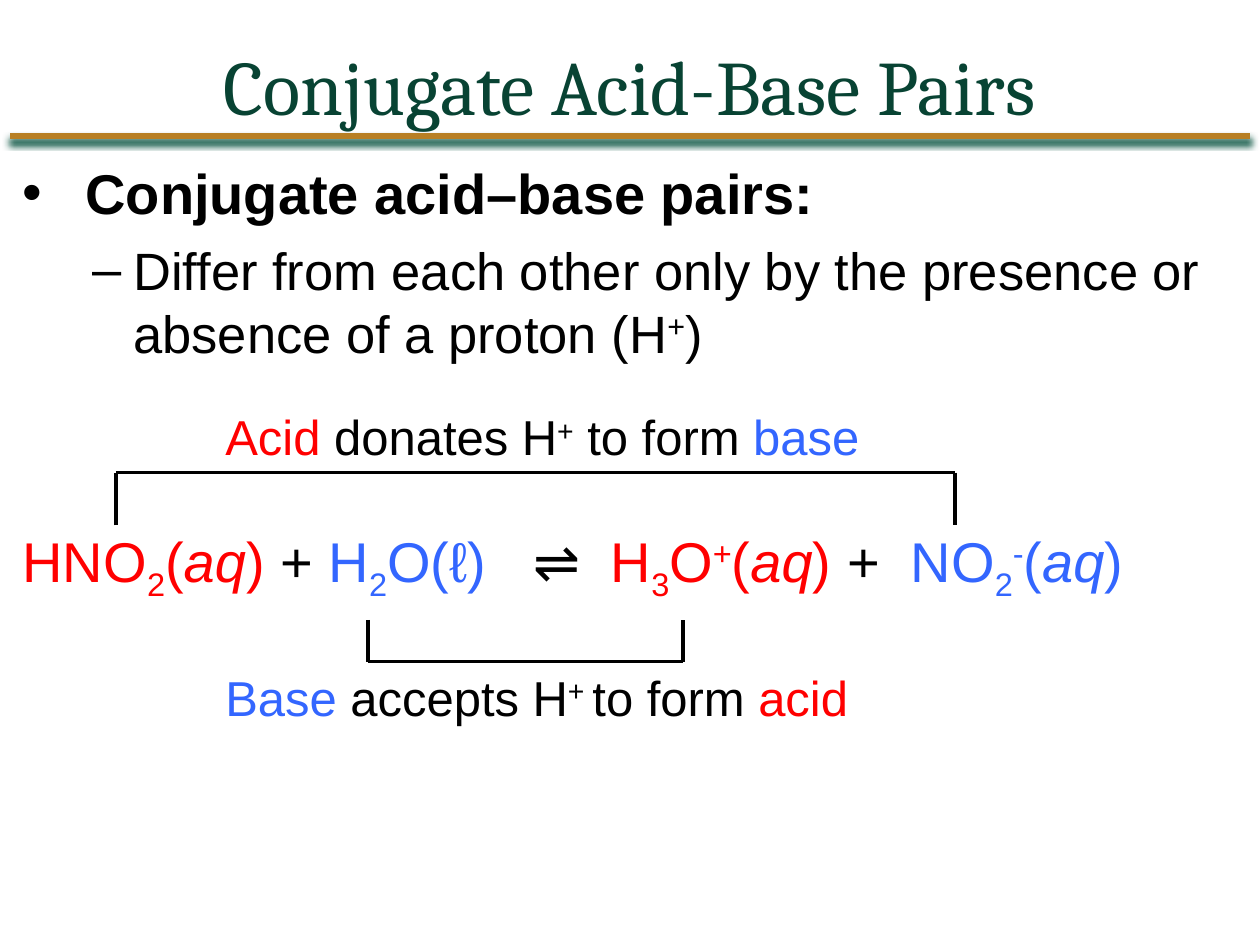
from dataclasses import dataclass
from typing import NamedTuple, Optional

from lxml.etree import SubElement
from pptx import Presentation
from pptx.dml.color import RGBColor
from pptx.enum.shapes import MSO_CONNECTOR as Connector
from pptx.enum.text import MSO_ANCHOR as Anchor, PP_ALIGN as Align
from pptx.oxml.ns import qn
from pptx.util import Inches, Pt


@dataclass(frozen=True)
class Theme:
    title: str = "084333"
    rule: str = "B87F24"
    rule_shadow: str = "0A5441"
    text: str = "000000"
    acid: str = "FF0000"
    base: str = "3366FF"
    title_font: str = "Cambria"
    body_font: str = "Arial"
    title_size: int = 44
    body_size: int = 32
    detail_size: int = 30
    caption_size: int = 28


THEME = Theme()
SUPER, SUB = 30, -25


class Piece(NamedTuple):
    text: str
    color: str = THEME.text
    baseline: int = 0
    italic: bool = False
    bold: bool = False


class Bullet(NamedTuple):
    mark: str
    margin: float
    hanging: float


@dataclass(frozen=True)
class Line:
    pieces: list[Piece]
    size: int
    bullet: Optional[Bullet] = None
    tabs: tuple[float, ...] = ()
    space_before: int = 0


@dataclass(frozen=True)
class Block:
    left: float
    top: float
    width: float
    height: float
    lines: list[Line]
    wrap: bool = True


@dataclass(frozen=True)
class Bracket:
    left: float
    right: float
    bar: float
    tip: float


def formula(color: str, *parts: tuple[str, int], state: str = "") -> list[Piece]:
    pieces = [Piece(text, color, baseline) for text, baseline in parts]
    if state:
        pieces += [Piece("(", color), Piece(state, color, italic=True), Piece(")", color)]
    return pieces


def apply(target, values: dict) -> None:
    for name, value in values.items():
        setattr(target, name, value)


def format_font(font, name: str, size: int, color: str, bold=False, italic=False) -> None:
    apply(font, {"name": name, "size": Pt(size), "bold": bold, "italic": italic})
    font.color.rgb = RGBColor.from_string(color)


def set_layout(paragraph, line: Line) -> None:
    properties = paragraph._p.get_or_add_pPr()
    paragraph.space_before = Pt(line.space_before)
    if line.bullet:
        properties.set("marL", str(Inches(line.bullet.margin)))
        properties.set("indent", str(-Inches(line.bullet.hanging)))
        SubElement(properties, qn("a:buFont"), typeface=THEME.body_font)
        SubElement(properties, qn("a:buChar"), char=line.bullet.mark)
    if line.tabs:
        tab_list = SubElement(properties, qn("a:tabLst"))
        for position in line.tabs:
            SubElement(tab_list, qn("a:tab"), pos=str(Inches(position)), algn="l")


def draw_block(slide, block: Block) -> None:
    shape = slide.shapes.add_textbox(
        *map(Inches, (block.left, block.top, block.width, block.height)))
    frame = shape.text_frame
    frame.word_wrap = block.wrap
    for index, line in enumerate(block.lines):
        paragraph = frame.add_paragraph() if index else frame.paragraphs[0]
        set_layout(paragraph, line)
        for piece in line.pieces:
            run = paragraph.add_run()
            run.text = piece.text
            format_font(run.font, THEME.body_font, line.size, piece.color, piece.bold, piece.italic)
            if piece.baseline:
                run._r.get_or_add_rPr().set("baseline", str(piece.baseline * 1000))


def draw_line(slide, start: tuple[float, float], end: tuple[float, float],
              color: str = THEME.text, width: float = 2.25):
    connector = slide.shapes.add_connector(Connector.STRAIGHT, *map(Inches, (*start, *end)))
    connector.line.color.rgb = RGBColor.from_string(color)
    connector.line.width = Pt(width)
    return SubElement(connector._element.spPr, qn("a:effectLst"))


def draw_bracket(slide, bracket: Bracket) -> None:
    corners = [(bracket.left, bracket.tip), (bracket.left, bracket.bar),
               (bracket.right, bracket.bar), (bracket.right, bracket.tip)]
    for start, end in zip(corners, corners[1:]):
        draw_line(slide, start, end)


def draw_title(slide, text: str) -> None:
    title = slide.shapes.title
    apply(title, {"left": 0, "top": Inches(0.17), "width": Inches(10), "height": Inches(1)})
    title.text_frame.text = text
    title.text_frame.vertical_anchor = Anchor.MIDDLE
    paragraph = title.text_frame.paragraphs[0]
    paragraph.alignment = Align.CENTER
    format_font(paragraph.runs[0].font, THEME.title_font, THEME.title_size, THEME.title)
    effects = draw_line(slide, (0.08, 1.08), (9.92, 1.08), THEME.rule, 3)
    shadow = SubElement(effects, qn("a:outerShdw"), blurRad=str(Pt(4)), dist=str(Pt(3)),
                        dir=str(105 * 60000), algn="tl", rotWithShape="0")
    SubElement(shadow, qn("a:srgbClr"), val=THEME.rule_shadow)


DEFINITION = [
    Line([Piece("Conjugate acid–base pairs:", bold=True)], THEME.body_size,
         Bullet("•", 0.5, 0.5)),
    Line([Piece("Differ from each other only by the presence or absence of a proton (H"),
          Piece("+", baseline=SUPER), Piece(")")], THEME.detail_size,
         Bullet("–", 0.88, 0.32), space_before=7),
]
EQUATION = [
    *formula(THEME.acid, ("HNO", 0), ("2", SUB), state="aq"),
    Piece(" + "),
    *formula(THEME.base, ("H", 0), ("2", SUB), ("O(ℓ)", 0)),
    Piece("\t⇌\t"),
    *formula(THEME.acid, ("H", 0), ("3", SUB), ("O", 0), ("+", SUPER), state="aq"),
    Piece(" +\t"),
    *formula(THEME.base, ("NO", 0), ("2", SUB), ("-", SUPER), state="aq"),
]
DONATES = [Piece("Acid ", THEME.acid), Piece("donates H"), Piece("+", baseline=SUPER),
           Piece(" to form "), Piece("base", THEME.base)]
ACCEPTS = [Piece("Base", THEME.base), Piece(" accepts H"), Piece("+ ", baseline=SUPER),
           Piece("to form "), Piece("acid", THEME.acid)]

BLOCKS = [
    Block(0.08, 1.21, 9.83, 1.75, DEFINITION),
    Block(0.08, 4.13, 9.83, 0.65,
          [Line(EQUATION, THEME.body_size, tabs=(4.06, 4.67, 7.05))]),
    Block(1.69, 3.18, 5.31, 0.57, [Line(DONATES, THEME.caption_size)], wrap=False),
    Block(1.69, 5.25, 5.23, 0.57, [Line(ACCEPTS, THEME.caption_size)], wrap=False),
]
BRACKETS = [Bracket(0.92, 7.58, bar=3.75, tip=4.17), Bracket(2.92, 5.42, bar=5.25, tip=4.92)]


def main() -> None:
    presentation = Presentation()
    apply(presentation, {"slide_width": Inches(10), "slide_height": Inches(7.5)})
    slide = presentation.slides.add_slide(presentation.slide_layouts[5])
    draw_title(slide, "Conjugate Acid-Base Pairs")
    for block in BLOCKS:
        draw_block(slide, block)
    for bracket in BRACKETS:
        draw_bracket(slide, bracket)
    presentation.save("out.pptx")


if __name__ == "__main__":
    main()
